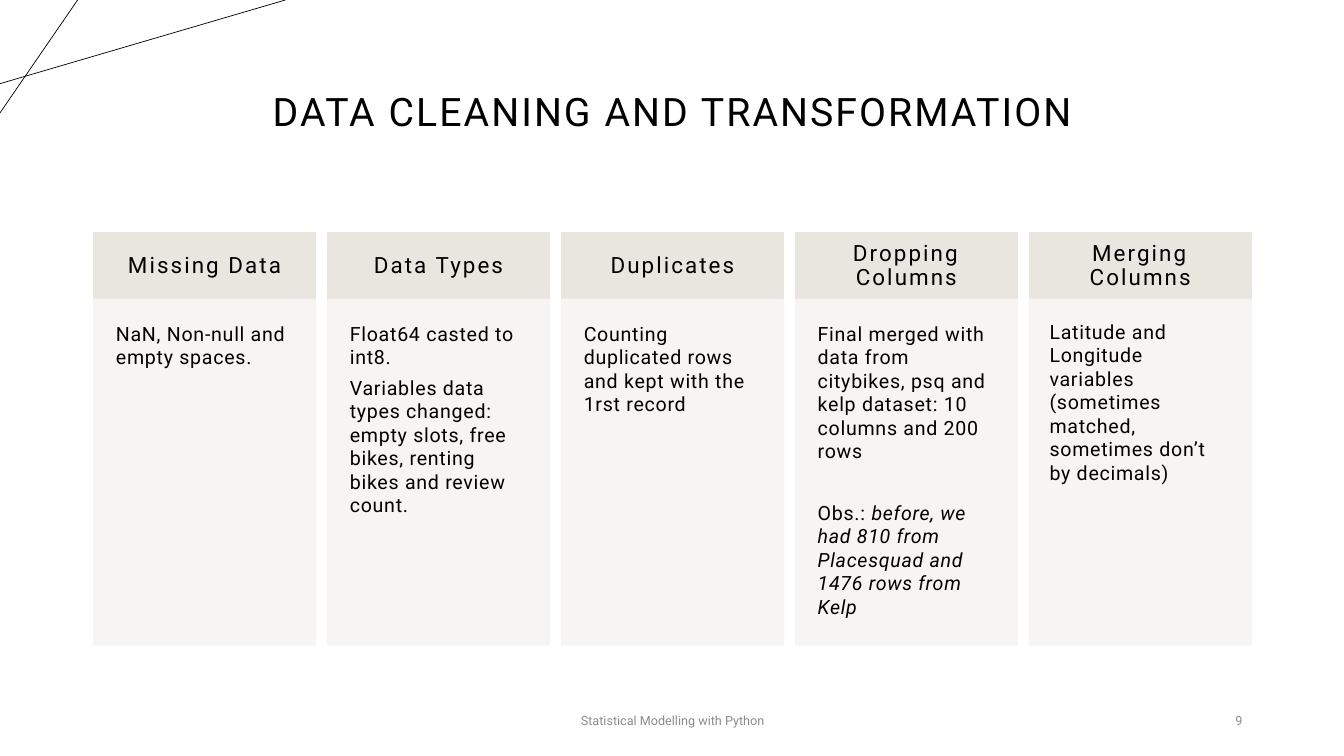
from lxml import etree
from pptx import Presentation
from pptx.dml.color import RGBColor
from pptx.enum.shapes import MSO_CONNECTOR, MSO_SHAPE
from pptx.enum.text import MSO_ANCHOR as ANCHOR, PP_ALIGN as ALIGN
from pptx.oxml.ns import qn
from pptx.util import Pt

PX = 9144  # 100 px to the inch
BLACK = RGBColor(0x00, 0x00, 0x00)
GREY = RGBColor(0x8C, 0x8C, 0x8C)
SAND = RGBColor(0xE9, 0xE6, 0xDF)
PALE = RGBColor(0xF7, 0xF5, 0xF3)
FONT = "Roboto"

prs = Presentation()
prs.slide_width, prs.slide_height = 1333 * PX, 750 * PX
slide = prs.slides.add_slide(prs.slide_layouts[6])


def add_box(x, y, w, h, fill=None, opacity=100):
    """Add a text box, or a filled rectangle when a fill is given."""
    at = [v * PX for v in (x, y, w, h)]
    if fill is None:
        return slide.shapes.add_textbox(*at)
    sp = slide.shapes.add_shape(MSO_SHAPE.RECTANGLE, *at)
    sp.shadow.inherit = False
    sp.fill.solid()
    sp.fill.fore_color.rgb = fill
    sp.line.color.rgb = fill
    sp.line.width = Pt(1)
    if opacity < 100:
        for clr in sp._element.spPr.iter(qn("a:srgbClr")):
            etree.SubElement(clr, qn("a:alpha"), val=str(opacity * 1000))
    return sp


def write(sp, paragraphs, size, color=BLACK, align=ALIGN.LEFT, anchor=ANCHOR.MIDDLE,
          inset=None, tracking=0, leading=1.0, after=0):
    """Fill a shape; each paragraph is (space before, [(text, italic), ...])."""
    tf = sp.text_frame
    tf.word_wrap = True
    tf.vertical_anchor = anchor
    if inset is not None:
        tf.margin_left = tf.margin_top = tf.margin_right = tf.margin_bottom = inset * PX
    for i, (before, runs) in enumerate(paragraphs):
        p = tf.add_paragraph() if i else tf.paragraphs[0]
        p.alignment = align
        p.line_spacing = leading
        p.space_before, p.space_after = Pt(before), Pt(after)
        for text, italic in runs:
            r = p.add_run()
            r.text = text
            r.font.name = FONT
            r.font.size = Pt(size)
            r.font.color.rgb = color
            if italic:
                r.font.italic = True
            if tracking:
                r._r.get_or_add_rPr().set("spc", str(int(tracking * 100)))


# Corner lines
for ends in ((0, 83, 283, 0), (77, 0, 0, 112)):
    line = slide.shapes.add_connector(MSO_CONNECTOR.STRAIGHT, *[v * PX for v in ends])
    line.line.color.rgb = BLACK
    line.line.width = Pt(0.5)
    etree.SubElement(line._element.spPr, qn("a:effectLst"))

# Title
write(add_box(92, 40, 1150, 145), [(0, [("DATA CLEANING AND TRANSFORMATION", False)])],
      28, align=ALIGN.CENTER, tracking=1.5, leading=0.9)

# Columns: heading, body inset, body paragraphs
COLUMNS = [
    ("Missing Data", 22, [(0, [("NaN, Non-null and empty spaces.", False)])]),
    ("Data Types", 22, [
        (0, [("Float64 casted to int8.", False)]),
        (0, [("Variables data types changed: empty slots, free bikes, "
              "renting bikes and review count.", False)]),
    ]),
    ("Duplicates", 22, [
        (0, [("Counting duplicated rows and kept with the 1rst record", False)]),
    ]),
    ("Dropping Columns", 22, [
        (0, [("Final merged with data from citybikes, psq and kelp dataset: "
              "10 columns and 200 rows", False)]),
        (22, [("Obs.: ", False),
              ("before, we had 810 from Placesquad and 1476 rows from Kelp", True)]),
    ]),
    ("Merging Columns", 20, [
        (0, [("Latitude and Longitude variables (sometimes matched, "
              "sometimes don’t by decimals)", False)]),
    ]),
]
LEFT, PITCH, WIDTH = 93, 232, 220
TOP, HEAD_H, BODY_H = 231, 66, 343
for i, (heading, inset, body) in enumerate(COLUMNS):
    x = LEFT + i * PITCH
    write(add_box(x, TOP, WIDTH, HEAD_H, SAND), [(0, [(heading, False)])], 16,
          align=ALIGN.CENTER, inset=17, tracking=1.5, leading=0.9)
    write(add_box(x, TOP + HEAD_H, WIDTH, BODY_H, PALE, 90), body, 14,
          anchor=ANCHOR.TOP, inset=inset, tracking=0.5, after=5)

# Footer and slide number
for x, w, text, align in ((442, 450, "Statistical Modelling with Python", ALIGN.CENTER),
                          (942, 300, "9", ALIGN.RIGHT)):
    write(add_box(x, 695, w, 40), [(0, [(text, False)])], 9, GREY, align)

prs.save("out.pptx")
